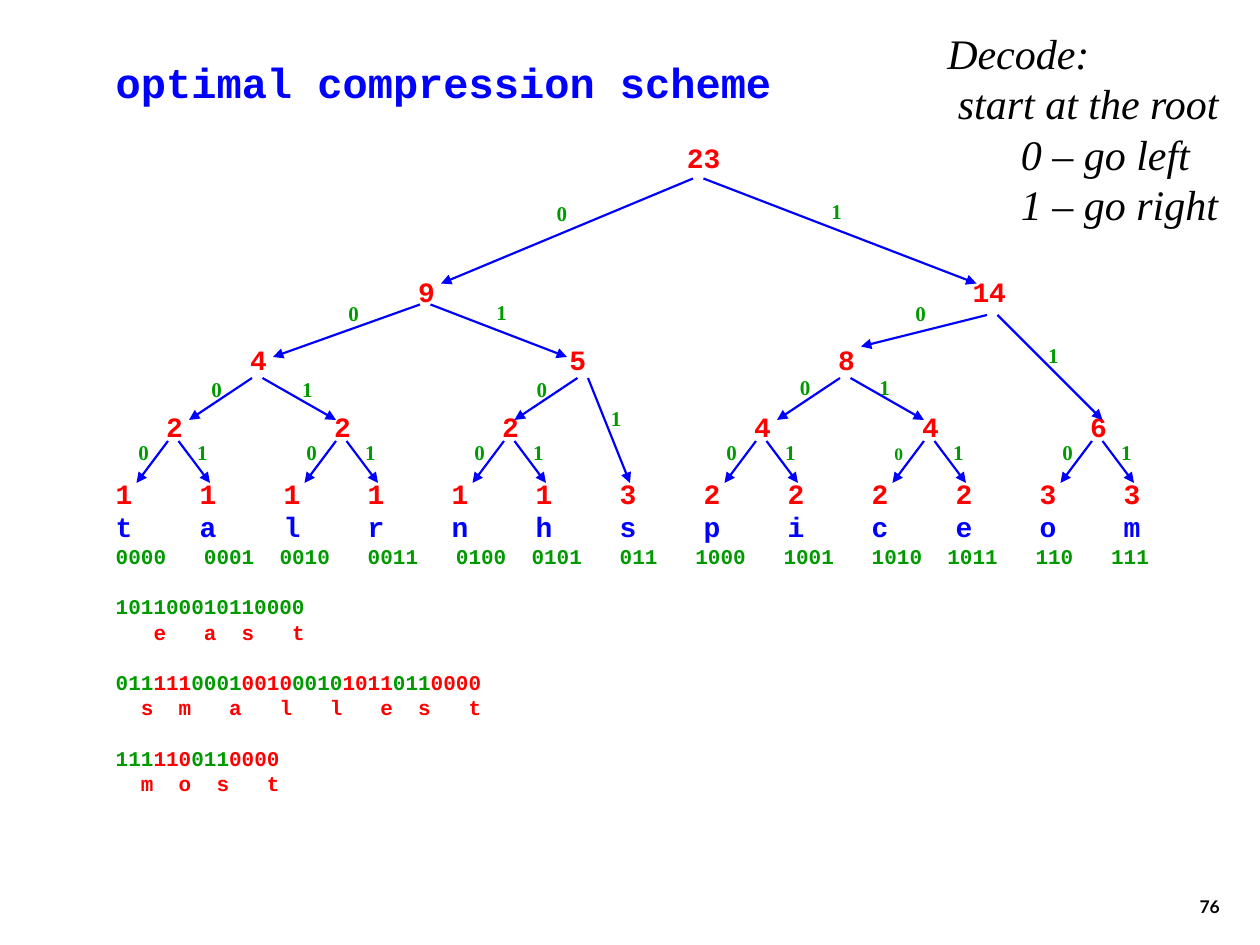
"""Build the slide on an optimal compression scheme: a code tree, its codes and decoded words."""
import pptx
import pptx.dml.color
import pptx.enum.shapes
import pptx.enum.text
import pptx.util
import lxml.etree

RGB = pptx.dml.color.RGBColor
BLUE, RED = RGB(0x00, 0x00, 0xFF), RGB(0xFF, 0x00, 0x00)
GREEN, BLACK = RGB(0x00, 0x99, 0x00), RGB(0x00, 0x00, 0x00)
MONO = {"name": "Courier New", "bold": True}
SERIF = {"name": "Times New Roman", "bold": True}
ITALIC = {"name": "Times New Roman", "italic": True}
LATO = {"name": "Lato", "bold": True}
A = "{http://schemas.openxmlformats.org/drawingml/2006/main}"
CELL = 1 / 12
LEADING = 1.2

prs = pptx.Presentation()
prs.slide_width, prs.slide_height = pptx.util.Inches(10), pptx.util.Inches(7.5)
s = prs.slides.add_slide(prs.slide_layouts[6])


def add_box(x, y, w, h, wrap=False):
    sp = s.shapes.add_textbox(*(pptx.util.Inches(v) for v in (x, y, w, h)))
    tf = sp.text_frame
    tf.word_wrap = wrap
    tf.auto_size = pptx.enum.text.MSO_AUTO_SIZE.SHAPE_TO_FIT_TEXT
    return tf


def add_line(tf, parts, size, fmt, skip=0, indent=0):
    p = tf.paragraphs[0] if not tf.paragraphs[0].runs else tf.add_paragraph()
    pPr = p._p.get_or_add_pPr()
    if indent:
        pPr.set("marL", str(pptx.util.Pt(indent)))
    end, stops = 0, []
    for col, text, color in parts:
        r = p.add_run()
        r.text = "\t" + text if col > end else text
        if col > end:
            stops.append(pptx.util.Pt(col * size * 0.6))
        end = col + len(text)
        for name, value in {"size": pptx.util.Pt(size), **fmt}.items():
            setattr(r.font, name, value)
        r.font.color.rgb = color
    if stops:
        tabs = lxml.etree.SubElement(pPr, A + "tabLst")
        for pos in stops:
            lxml.etree.SubElement(tabs, A + "tab", pos=str(pos), algn="l")
    p.line_spacing = pptx.util.Pt(size * LEADING)
    if skip:
        p.space_before = pptx.util.Pt(skip * size * LEADING)
    return p


tf = add_box(7.7, 6.83, 2.08, 0.5, wrap=True)
tf.auto_size = pptx.enum.text.MSO_AUTO_SIZE.NONE
tf.vertical_anchor = pptx.enum.text.MSO_ANCHOR.BOTTOM
add_line(tf, [(0, "76", BLACK)], 10, LATO).alignment = pptx.enum.text.PP_ALIGN.RIGHT

letters = "talrnhspiceom"
codes = "0000 0001 0010 0011 0100 0101 011 1000 1001 1010 1011 110 111".split()
code_cols = [0, 7, 13, 20, 27, 33, 40, 46, 53, 60, 66, 73, 79]
code_of = dict(zip(letters, codes))
leaf_cols = range(0, 65, 5)

tf = add_box(0.82, 0.4, 9.02, 5.97, wrap=True)
add_line(tf, [(0, "optimal compression scheme", BLUE)], 24, MONO)
for skip, cols, labels, color in [
    (1, [34], ["23"], RED),
    (3, [18, 51], ["9", "14"], RED),
    (1, [8, 27, 43], "458", RED),
    (1, [3, 13, 23, 38, 48, 58], "222446", RED),
    (1, leaf_cols, "1111113222233", RED),
    (0, leaf_cols, letters, BLUE),
]:
    add_line(tf, [(c, t, color) for c, t in zip(cols, labels)], 16, MONO, skip)
add_line(tf, [(c, t, GREEN) for c, t in zip(code_cols, codes)], 12, MONO)

for word, colors in [("east", [GREEN]), ("smallest", [GREEN, RED]), ("most", [GREEN, RED])]:
    bits, marks, col = [], [], 0
    for i, letter in enumerate(word):
        code = code_of[letter]
        bits.append((col, code, colors[i % len(colors)]))
        col += len(code)
        marks.append((col - 1, letter, RED))
    add_line(tf, bits, 12, MONO, skip=1)
    add_line(tf, marks, 12, MONO)

edges = [
    (66, 17, 42, 27, 51.84, 18.48), (67, 17, 93, 27, 78, 18.36),
    (40, 29, 26, 34, 32, 28.08), (41, 29, 54, 34, 46.08, 27.96),
    (94, 30, 82, 33, 86, 28.08), (95, 30, 105, 40, 98.64, 32.04),
    (24, 36, 18, 40, 18.96, 35.28), (25, 36, 32, 40, 27.6, 35.28),
    (55, 36, 49, 40, 49.92, 35.28), (56, 36, 60, 46, 57, 38.04),
    (80, 36, 74, 40, 75, 35.04), (81, 36, 88, 40, 82.56, 35.04),
]
for x in (16, 32, 48, 72, 88, 104):
    edges += [(x, 42, x - 3, 46, x - 4, 41.28), (x + 1, 42, x + 4, 46, x + 1.6, 41.28)]

for i, (x1, y1, x2, y2, label_x, label_y) in enumerate(edges):
    ends = (pptx.util.Inches(v * CELL) for v in (x1, y1, x2, y2))
    cn = s.shapes.add_connector(pptx.enum.shapes.MSO_CONNECTOR.STRAIGHT, *ends)
    cn.line.color.rgb = BLUE
    cn.line.width = pptx.util.Pt(1.25)
    lxml.etree.SubElement(cn.line._get_or_add_ln(), A + "tailEnd", type="triangle")
    lxml.etree.SubElement(cn._element.spPr, A + "effectLst")
    small = (x1, y1, x2) == (88, 42, 85)
    size, drop = (10, 0.03) if small else (12, 0)
    tf = add_box(label_x * CELL, label_y * CELL + drop, 0.28, 0.3 - drop)
    add_line(tf, [(0, str(i % 2), GREEN)], size, SERIF)

tf = add_box(7.42, 0.17, 2.36, 1.7)
for text, indent in [("Decode:", 0), ("start at the root", 6), ("0 – go left", 42), ("1 – go right", 42)]:
    add_line(tf, [(0, text, BLACK)], 24, ITALIC, indent=indent)

prs.save("out.pptx")
